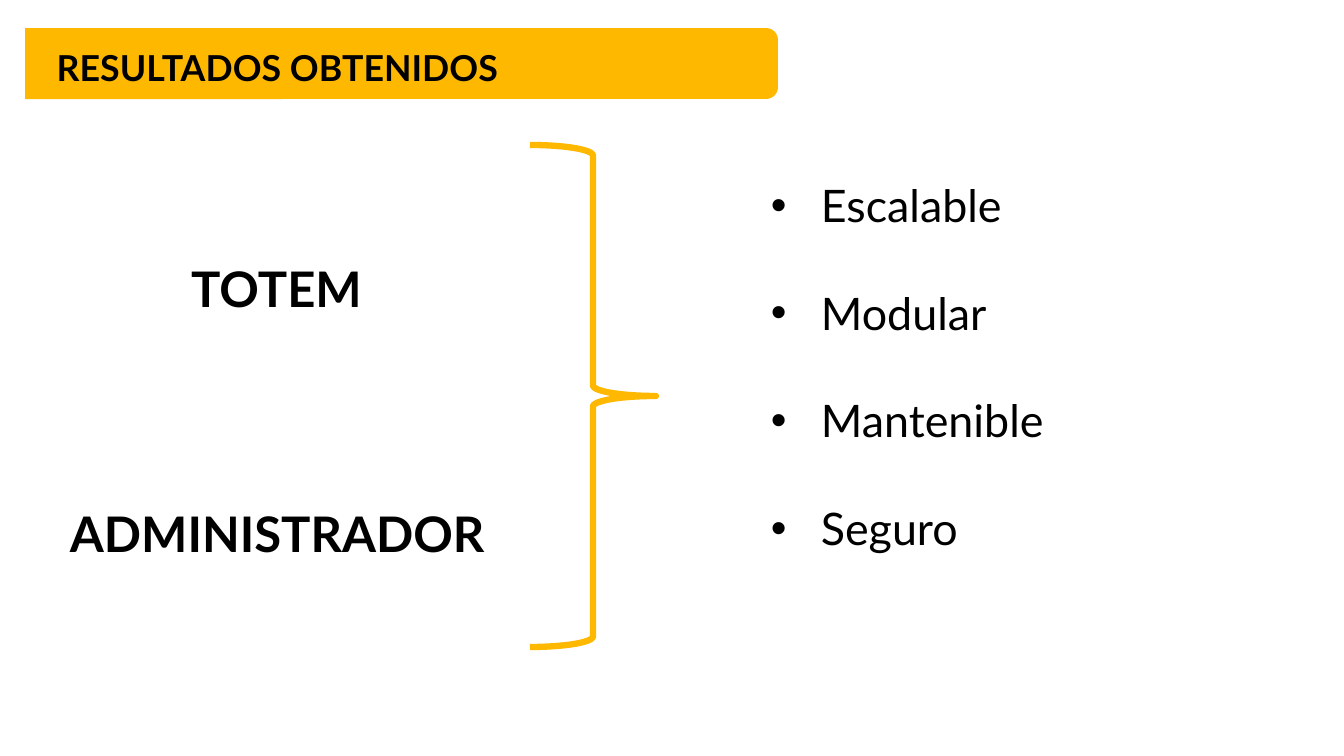
import pptx
import pptx.dml.color
import pptx.enum.shapes
import pptx.enum.text
import pptx.util
from lxml import etree

TITLE = "RESULTADOS OBTENIDOS"
MODULES = [("TOTEM", (150, 254, 253, 70)), ("ADMINISTRADOR", (45, 499, 465, 70))]
QUALITIES = ["Escalable", "Modular", "Mantenible", "Seguro"]

# Boxes are left, top, width, height in px
PAGE_SIZE = (1344, 756)
BANNER_BOX = (25, 28, 753, 71)
TITLE_BOX = (25, 33, 505, 60)
QUALITIES_BOX = (761, 173, 583, 445)
BRACE_BOX = (530, 145, 126, 502)
BULLET_INDENT = 50

FONT = "Lato"
AMBER = pptx.dml.color.RGBColor(0xFF, 0xB8, 0x00)
BLACK = pptx.dml.color.RGBColor(0x00, 0x00, 0x00)
PX_PER_INCH = 100.8

SHAPES = pptx.enum.shapes.MSO_SHAPE
ANCHORS = pptx.enum.text.MSO_ANCHOR
ALIGN = pptx.enum.text.PP_ALIGN


def emu(px):
    return pptx.util.Inches(px / PX_PER_INCH)


def add_text(page, box, lines, size, bold=False, align=ALIGN.LEFT, anchor=ANCHORS.TOP):
    """Add a text box with one paragraph per line and return its paragraphs."""
    frame = page.shapes.add_textbox(*map(emu, box)).text_frame
    frame.text = "\n".join(lines)
    frame.word_wrap = True
    frame.vertical_anchor = anchor
    for para in frame.paragraphs:
        para.alignment = align
        for span in para.runs:
            span.font.name = FONT
            span.font.size = pptx.util.Pt(size)
            span.font.bold = bold
            span.font.color.rgb = BLACK
    return frame.paragraphs


def add_bullet(para):
    properties = para._p.get_or_add_pPr()
    properties.set("marL", str(emu(BULLET_INDENT)))
    properties.set("indent", str(-emu(BULLET_INDENT)))
    for tag, name, value in [("a:buFont", "typeface", "Arial"), ("a:buChar", "char", "•")]:
        etree.SubElement(properties, pptx.oxml.ns.qn(tag)).set(name, value)


def add_banner(page):
    """Add the bar as an upright shape turned a quarter about its centre."""
    left, top, width, height = BANNER_BOX
    shift = (width - height) / 2
    upright = (left + shift, top - shift, height, width)
    banner = page.shapes.add_shape(SHAPES.ROUND_2_SAME_RECTANGLE, *map(emu, upright))
    banner.rotation = 90
    banner.shadow.inherit = False
    banner.fill.solid()
    banner.fill.fore_color.rgb = AMBER
    banner.line.fill.background()


def add_brace(page):
    brace = page.shapes.add_shape(SHAPES.RIGHT_BRACE, *map(emu, BRACE_BOX))
    brace.shadow.inherit = False
    brace.fill.background()
    brace.line.color.rgb = AMBER
    brace.line.width = pptx.util.Pt(4.5)


def main():
    deck = pptx.Presentation()
    deck.slide_width, deck.slide_height = map(emu, PAGE_SIZE)
    page = deck.slides.add_slide(deck.slide_layouts[6])

    add_banner(page)
    title = add_text(page, TITLE_BOX, [TITLE], 25.5, True, ALIGN.CENTER, ANCHORS.BOTTOM)
    title[0].line_spacing = 0.8
    for name, box in MODULES:
        add_text(page, box, [name], 35, True, ALIGN.CENTER)
    for para in add_text(page, QUALITIES_BOX, QUALITIES, 32):
        para.space_after = pptx.util.Pt(38.4)
        add_bullet(para)
    add_brace(page)
    deck.save("out.pptx")


if __name__ == "__main__":
    main()
